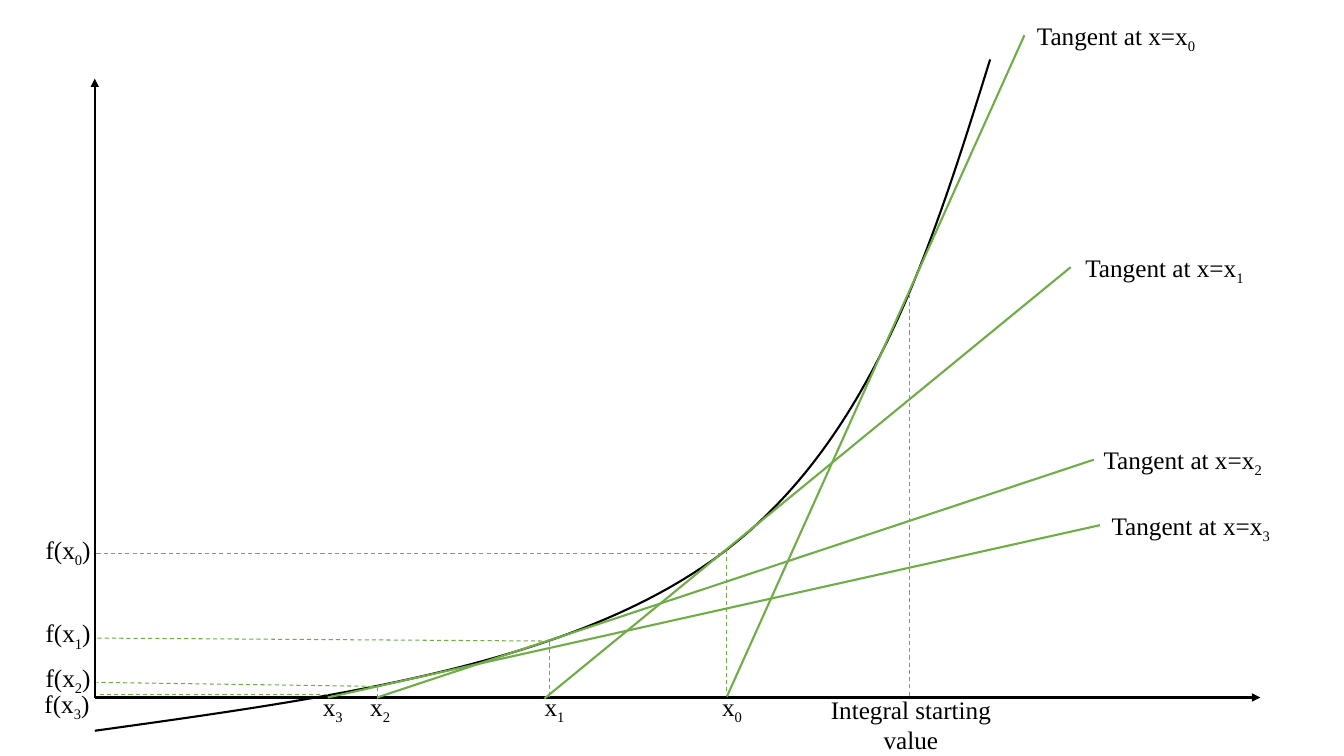
"""Draw Newton's method: a curve, its tangents and their roots."""
import lxml.etree
import pptx
import pptx.dml.color
import pptx.enum.dml
import pptx.enum.shapes
import pptx.enum.text
import pptx.oxml.ns
import pptx.util

PX = 9144
BLACK = pptx.dml.color.RGBColor(0x00, 0x00, 0x00)
GREEN = pptx.dml.color.RGBColor(0x70, 0xAD, 0x47)
FONT = "Times New Roman"

CURVE = [(94, 725), (331, 692), (568, 660), (716, 549),
         (864, 438), (923, 249), (982, 59)]
AXES = [(94, 692, 94, 78), (94, 692, 1250, 692)]
TANGENTS = [(1016, 35, 721, 691), (540, 693, 1062, 265),
            (374, 692, 1085, 456), (325, 692, 1091, 521)]
GUIDES = [(721, 686, 721, 545), (545, 691, 545, 636), (374, 693, 374, 681),
          (716, 549, 94, 549), (545, 636, 94, 633), (377, 681, 96, 677),
          (325, 689, 96, 689), (902, 292, 902, 691)]
ROOTS = [(705, 681), (529, 681), (356, 681), (309, 681)]
NAMES = [(1011, 15), (1059, 245), (1077, 436), (1085, 501)]
VALUES = [(32, 525), (32, 608), (32, 652), (31, 678)]


def add_tag(parent, tag, **attrs):
    """Append a drawing element to a parent."""
    lxml.etree.SubElement(parent, pptx.oxml.ns.qn(tag), attrs)


def add_line(slide, ends, color=GREEN, width=1.5, dash=False, arrow=False):
    """Add a straight line between two points."""
    kind = pptx.enum.shapes.MSO_CONNECTOR.STRAIGHT
    line = slide.shapes.add_connector(kind, *(n * PX for n in ends))
    line.line.color.rgb = color
    line.line.width = pptx.util.Pt(width)
    if dash:
        line.line.dash_style = pptx.enum.dml.MSO_LINE.DASH
    if arrow:
        add_tag(line.line._get_or_add_ln(), "a:tailEnd", type="triangle")
    add_tag(line._element.spPr, "a:effectLst")


def add_curve(slide, points):
    """Add a smooth open curve through Bezier points."""
    form = slide.shapes.build_freeform(*points[0], scale=PX)
    form.add_line_segments(points[1:], close=False)
    curve = form.convert_to_shape()
    curve.shadow.inherit = False
    curve.fill.background()
    curve.line.color.rgb = BLACK
    curve.line.width = pptx.util.Pt(1.5)
    steps = list(curve._element.iter(pptx.oxml.ns.qn("a:lnTo")))
    route = steps[0].getparent()
    for i in range(0, len(steps), 3):
        bend = lxml.etree.SubElement(route, pptx.oxml.ns.qn("a:cubicBezTo"))
        for step in steps[i:i + 3]:
            bend.append(step[0])
            route.remove(step)


def add_text(slide, text, spot, size, sub="", end="", wrap=False):
    """Add a centred label with an optional subscript."""
    box = slide.shapes.add_textbox(*(n * PX for n in (*spot, *size)))
    frame = box.text_frame
    frame.word_wrap = wrap
    frame.auto_size = pptx.enum.text.MSO_AUTO_SIZE.SHAPE_TO_FIT_TEXT
    para = frame.paragraphs[0]
    para.alignment = pptx.enum.text.PP_ALIGN.CENTER
    for part, base in ((text, 0), (sub, -25000), (end, 0)):
        if part:
            run = para.add_run()
            run.text = part
            run.font.name = FONT
            run.font.size = pptx.util.Pt(18)
            run.font.color.rgb = BLACK
            if base:
                run._r.get_or_add_rPr().set("baseline", str(base))


def main():
    """Build and save the slide."""
    deck = pptx.Presentation()
    deck.slide_width, deck.slide_height = 1333 * PX, 750 * PX
    slide = deck.slides.add_slide(deck.slide_layouts[6])
    for ends in AXES:
        add_line(slide, ends, color=BLACK, arrow=True)
    add_curve(slide, CURVE)
    for ends in TANGENTS:
        add_line(slide, ends)
    for ends in GUIDES:
        add_line(slide, ends, width=0.75, dash=True)
    for i, (root, name, value) in enumerate(zip(ROOTS, NAMES, VALUES)):
        add_text(slide, "x", root, (42, 40), sub=str(i))
        add_text(slide, "Tangent at x=x", name, (192, 40), sub=str(i))
        add_text(slide, "f(x", value, (71, 40), sub=str(i), end=")")
    add_text(slide, "Integral starting value", (802, 684), (203, 71), wrap=True)
    deck.save("out.pptx")


if __name__ == "__main__":
    main()
